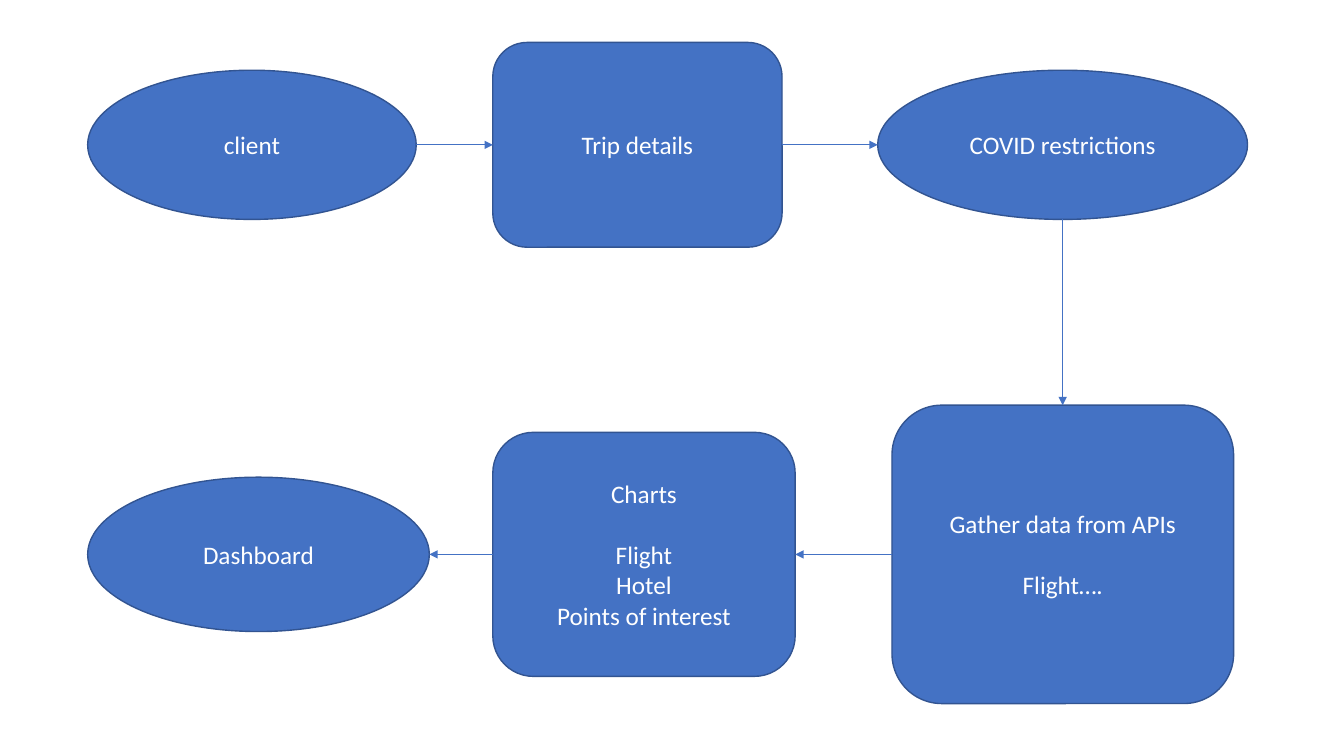
from lxml.etree import SubElement as Sub
from pptx import Presentation
from pptx.dml.color import RGBColor
from pptx.enum.shapes import MSO_CONNECTOR as Link, MSO_SHAPE as Kind
from pptx.enum.text import MSO_ANCHOR as Anchor, PP_ALIGN as Align
from pptx.oxml.ns import qn
from pptx.util import Cm, Pt

BLUE = RGBColor(0x44, 0x72, 0xC4)
NAVY = RGBColor(0x32, 0x54, 0x91)
WHITE = RGBColor(0xFF, 0xFF, 0xFF)

FONT = {"name": "Calibri", "size": Pt(18)}
FRAME = {"word_wrap": True, "vertical_anchor": Anchor.MIDDLE}
GAP = Pt(22)

OVAL, CARD = Kind.OVAL, Kind.ROUNDED_RECTANGLE
TOP = (2.21, 1.07, 5.16)
LOW = (2.21, 10.21, 7.52)
ASK = [
    (OVAL, 0, 8.28, 3.76, [["client"]]),
    (CARD, 10.21, 7.29, 5.16, [["Trip details"]]),
    (OVAL, 19.91, 9.32, 3.76, [["COVID restrictions"]]),
]
SHOW = [
    (OVAL, 0, 8.61, 3.89, [["Dashboard"]]),
    (CARD, 10.21, 7.62, 6.15, [["Charts"], ["Flight", "Hotel", "Points of interest"]]),
    (CARD, 20.27, 8.61, 7.52, [["Gather data from APIs"], ["Flight…."]]),
]


def style(item, form):
    for key, value in form.items():
        setattr(item, key, value)


def write(frame, groups):
    style(frame, FRAME)
    lines = [(text, bool(g) and not n)
             for g, group in enumerate(groups) for n, text in enumerate(group)]
    for i, (text, split) in enumerate(lines):
        para = frame.add_paragraph() if i else frame.paragraphs[0]
        style(para, {"alignment": Align.CENTER, "space_before": GAP if split else Pt(0)})
        run = para.add_run()
        run.text = text
        style(run.font, FONT)
        run.font.color.rgb = WHITE


def add_node(slide, kind, left, top, width, height, groups):
    node = slide.shapes.add_shape(kind, Cm(left), Cm(top), Cm(width), Cm(height))
    node.shadow.inherit = False
    node.fill.solid()
    node.fill.fore_color.rgb = BLUE
    node.line.color.rgb = NAVY
    node.line.width = Pt(1)
    write(node.text_frame, groups)
    return node


def add_row(slide, box, parts):
    left, top, height = box
    return [add_node(slide, kind, left + x, top + (height - h) / 2, w, h, groups)
            for kind, x, w, h, groups in parts]


def add_arrow(slide, start, end):
    arrow = slide.shapes.add_connector(Link.STRAIGHT, *start, *end)
    arrow.line.color.rgb = BLUE
    arrow.line.width = Pt(0.5)
    Sub(arrow.line._get_or_add_ln(), qn("a:tailEnd"), type="triangle")
    Sub(arrow._element.spPr, qn("a:effectLst"))


def join_row(slide, nodes, back=False):
    for near, far in zip(nodes, nodes[1:]):
        mid = near.top + near.height // 2
        ends = [(near.left + near.width, mid), (far.left, mid)]
        add_arrow(slide, *(reversed(ends) if back else ends))


def join_down(slide, upper, lower):
    mid = upper.left + upper.width // 2
    add_arrow(slide, (mid, upper.top + upper.height), (mid, lower.top))


def build_flow(slide):
    asks = add_row(slide, TOP, ASK)
    shows = add_row(slide, LOW, SHOW)
    join_row(slide, asks)
    join_down(slide, asks[-1], shows[-1])
    join_row(slide, shows, back=True)


deck = Presentation()
style(deck, {"slide_width": Cm(33.87), "slide_height": Cm(19.05)})
build_flow(deck.slides.add_slide(deck.slide_layouts[6]))
deck.save("out.pptx")
